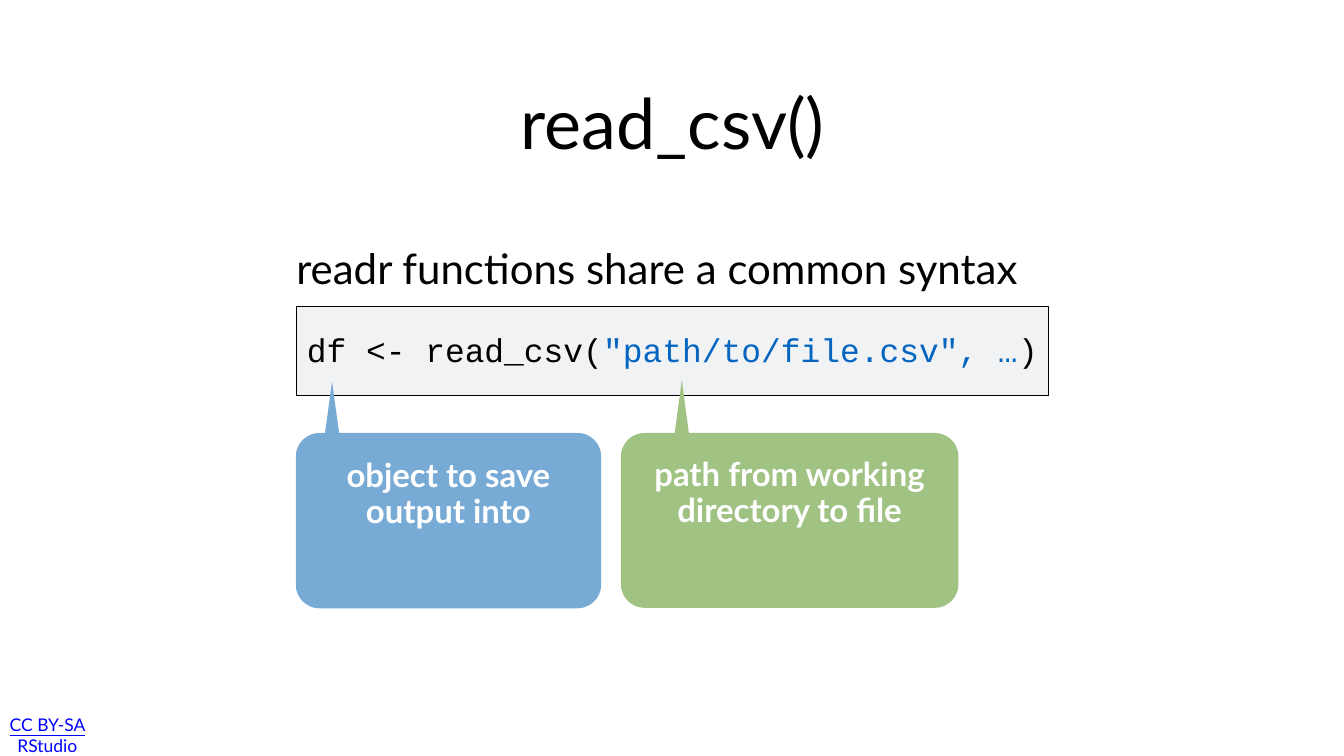
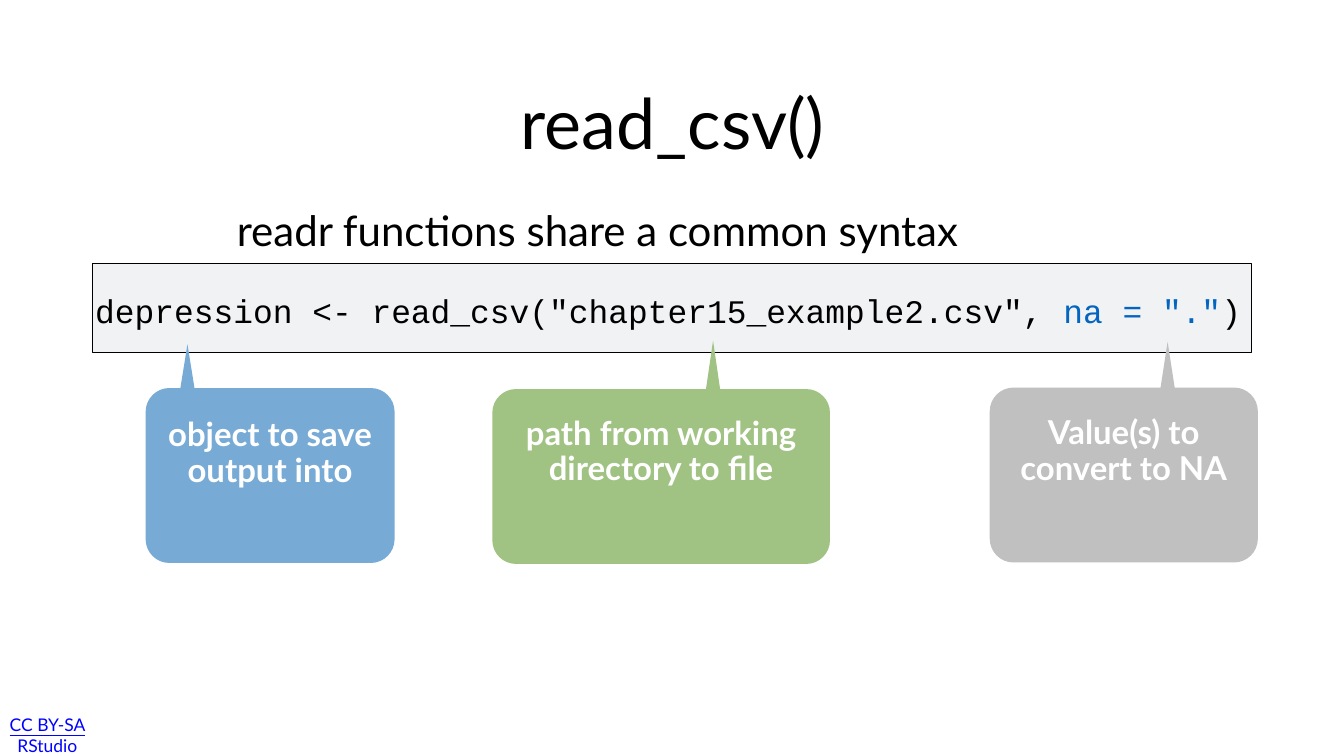
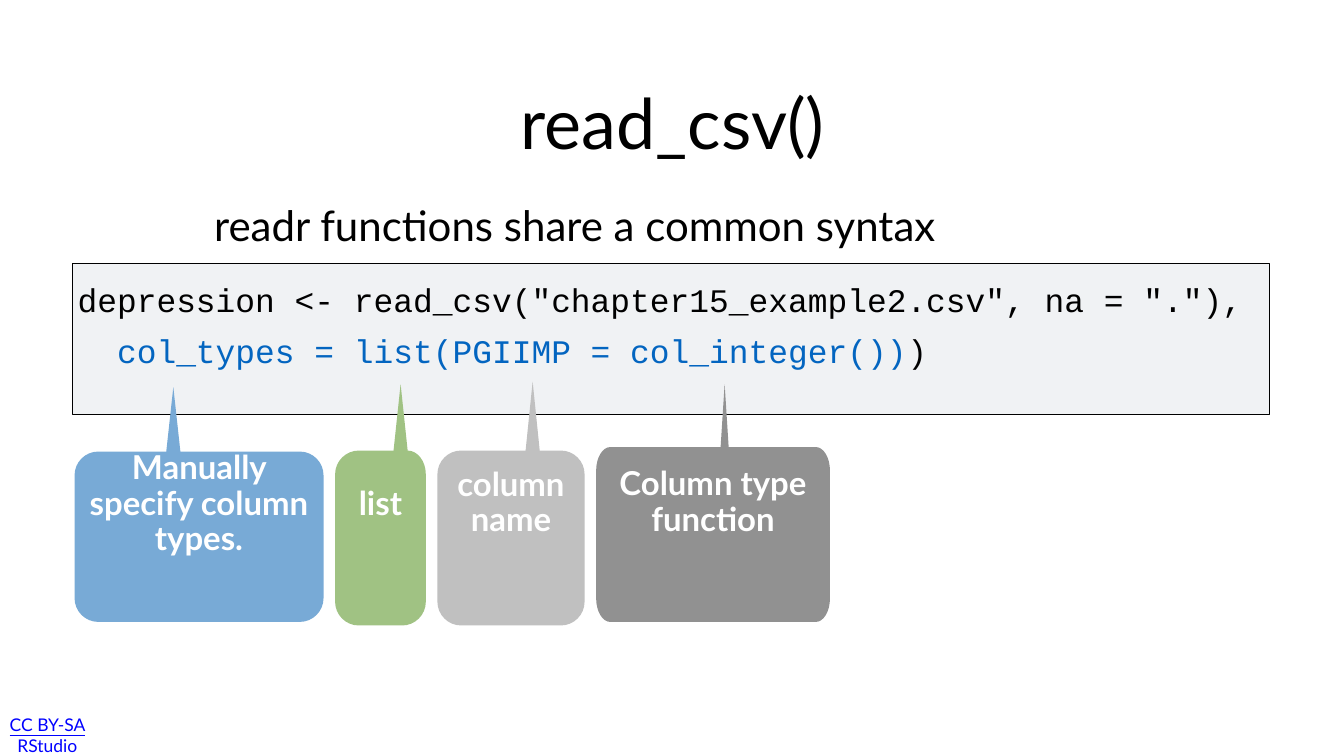
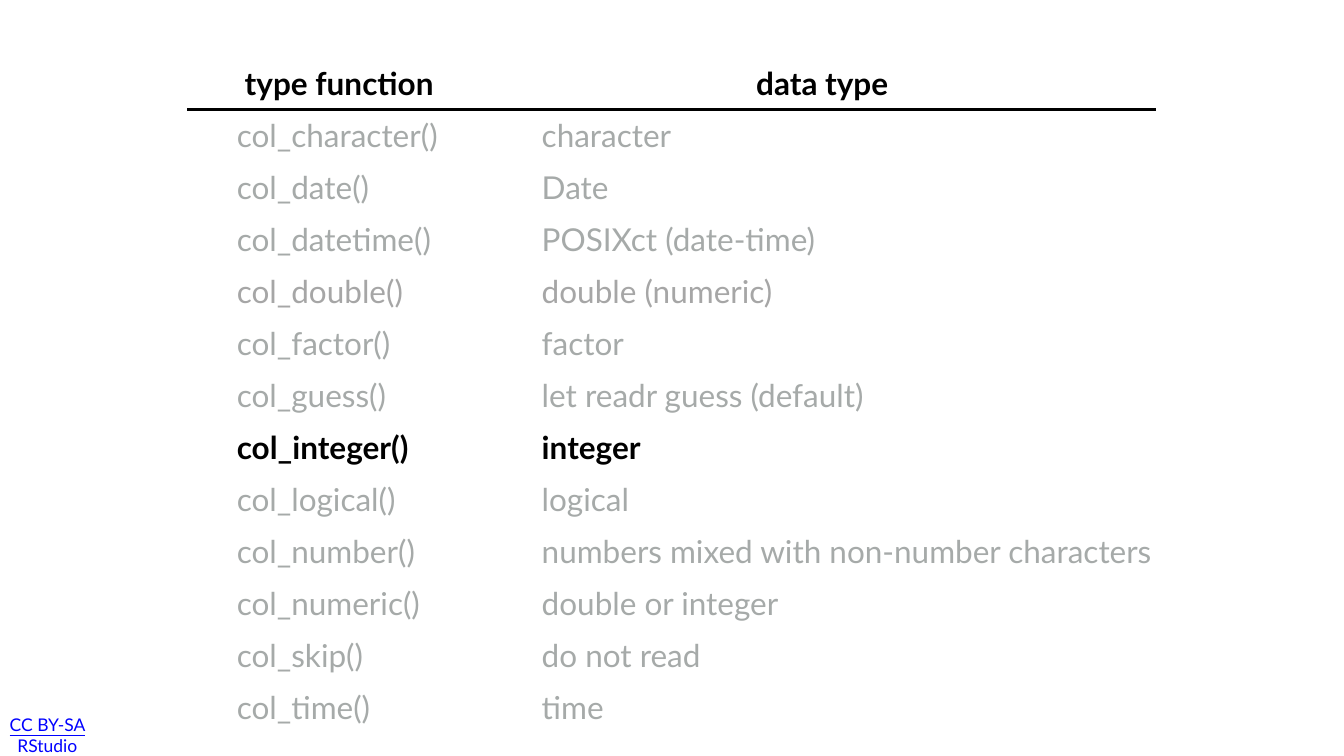
import pptx
import pptx.dml.color
import pptx.enum.shapes
import pptx.enum.text
import pptx.oxml
import pptx.oxml.ns
import pptx.util

Inches = pptx.util.Inches
RGBColor = pptx.dml.color.RGBColor
ALIGN = pptx.enum.text.PP_ALIGN
ANCHOR = pptx.enum.text.MSO_ANCHOR

# Shared look
BLACK = RGBColor(0x00, 0x00, 0x00)
WHITE = RGBColor(0xFF, 0xFF, 0xFF)
LINK_BLUE = RGBColor(0x00, 0x00, 0xFF)
CODE_BLUE = RGBColor(0x03, 0x65, 0xC0)
CODE_FILL = RGBColor(0xF0, 0xF2, 0xF4)
BLUE = RGBColor(0x78, 0xAA, 0xD6)
GREEN = RGBColor(0xA0, 0xC2, 0x83)
SILVER = RGBColor(0xC0, 0xC0, 0xC0)
GRAY = RGBColor(0x91, 0x91, 0x91)
MUTED = RGBColor(0xA6, 0xAA, 0xA9)
MUTED_NEUTRAL = RGBColor(0xA6, 0xA6, 0xA6)
BODY_FONT = "Lato"
CODE_FONT = "Courier New"
CORNER = 0.47
CURVE = 0.55
NAMESPACE = pptx.oxml.ns.nsdecls("a")


def write_text(frame, paragraphs, size, font=BODY_FONT, bold=False, align=ALIGN.LEFT,
               anchor=ANCHOR.MIDDLE, inset=0.06):
    """Fill a frame; each paragraph is a list of (text, colour) runs."""
    frame.word_wrap = True
    frame.vertical_anchor = anchor
    frame.margin_left = frame.margin_right = Inches(inset)
    frame.margin_top = frame.margin_bottom = Inches(inset)
    for index, runs in enumerate(paragraphs):
        paragraph = frame.paragraphs[0] if index == 0 else frame.add_paragraph()
        paragraph.alignment = align
        for text, color in runs:
            run = paragraph.add_run()
            run.text = text
            run.font.name = font
            run.font.size = pptx.util.Pt(size)
            run.font.bold = bold
            run.font.color.rgb = color


def add_callout(slide, lines, color, left, top, right, bottom, tip_x, tip_y,
                half_base=0.14, radius_x=CORNER):
    """Draw a rounded box with a narrow pointer on its top edge."""
    roof_end = max(right - radius_x, tip_x + half_base)
    # Each corner: start of the curve, corner point, end of the curve
    corners = [
        ((left + radius_x, top), (left, top), (left, top + CORNER)),
        ((left, bottom - CORNER), (left, bottom), (left + radius_x, bottom)),
        ((right - radius_x, bottom), (right, bottom), (right, bottom - CORNER)),
        ((right, top + CORNER), (right, top), (roof_end, top)),
    ]
    points = [(tip_x - half_base, top)]
    for start, _, end in corners:
        points += [start, end]
    points += [(tip_x + half_base, top), (tip_x, tip_y)]

    builder = slide.shapes.build_freeform(Inches(tip_x), Inches(tip_y))
    builder.add_line_segments([(Inches(x), Inches(y)) for x, y in points], close=True)
    shape = builder.convert_to_shape()

    # Turn the straight corner cuts into curves
    segments = list(shape._element.iter(pptx.oxml.ns.qn("a:lnTo")))
    for segment, (start, corner, end) in zip(segments[2:9:2], corners):
        controls = [[a + CURVE * (b - a) for a, b in zip(point, corner)]
                    for point in (start, end)]
        marks = "".join(f'<a:pt x="{Inches(x - left)}" y="{Inches(y - tip_y)}"/>'
                        for x, y in [*controls, end])
        curve = pptx.oxml.parse_xml(f"<a:cubicBezTo {NAMESPACE}>{marks}</a:cubicBezTo>")
        segment.getparent().replace(segment, curve)

    shape.shadow.inherit = False
    shape.fill.solid()
    shape.fill.fore_color.rgb = color
    shape.line.fill.background()
    write_text(shape.text_frame, [[(line, WHITE)] for line in lines], 47,
               bold=True, align=ALIGN.CENTER, inset=0.08)
    for paragraph in shape.text_frame.paragraphs:
        paragraph.line_spacing = 0.9


presentation = pptx.Presentation()
presentation.slide_width = Inches(26.67)
presentation.slide_height = Inches(15)

# Four slides with the licence footer
slides = []
for number in range(4):
    slide = presentation.slides.add_slide(presentation.slide_layouts[6])
    footer = slide.shapes.add_textbox(Inches(0.12), Inches(14.26), Inches(2.66), Inches(0.6))
    write_text(footer.text_frame, [[("CC BY-SA RStudio", LINK_BLUE)]], 25,
               align=ALIGN.CENTER, inset=0)
    footer.text_frame.margin_right = Inches(1.02)
    footer.text_frame.margin_top = Inches(0.03)
    footer.text_frame.paragraphs[0].runs[0].font.underline = True
    slides.append(slide)

# Syntax slides: subtitle position, code panel, code box, code and callouts
SAVE_OBJECT = (["object to save output into"], BLUE)
FILE_PATH = (["path from working directory to file"], GREEN)
syntax_slides = [
    {
        "subtitle": (5.82, 4.06),
        "panel": (5.88, 6.07, 14.92, 1.77),
        "code_box": (6.03, 6.48, 14.7, 1.56),
        "code": [[("df <- read_csv(", BLACK), ("\"path/to/file.csv\", …", CODE_BLUE),
                  (")", BLACK)]],
        "callouts": [
            (*SAVE_OBJECT, 5.87, 8.59, 11.93, 12.07, 6.59, 7.57),
            (*FILE_PATH, 12.32, 8.59, 19.02, 12.06, 13.53, 7.54),
        ],
    },
    {
        "subtitle": (4.64, 3.3),
        "panel": (1.83, 5.23, 23, 1.77),
        "code_box": (1.83, 5.71, 23, 1.56),
        "code": [[("depression <- read_csv(\"chapter15_example2.csv\", ", BLACK),
                  ("na = \".\"", CODE_BLUE), (")", BLACK)]],
        "callouts": [
            (*FILE_PATH, 9.77, 7.72, 16.47, 11.19, 14.15, 6.76),
            (*SAVE_OBJECT, 2.89, 7.7, 7.83, 11.17, 3.72, 6.83),
            (["Value(s) to convert to NA"], SILVER, 19.64, 7.69, 24.96, 11.16, 23.17, 6.78),
        ],
    },
    {
        "subtitle": (4.19, 3.2),
        "panel": (1.44, 5.22, 23.74, 3.01),
        "code_box": (1.48, 5.48, 23.74, 2.5),
        "code": [
            [("depression <- read_csv(\"chapter15_example2.csv\", na = \".\"),", BLACK)],
            [("  col_types = list(PGIIMP = col_integer())", CODE_BLUE), (")", BLACK)],
        ],
        "callouts": [
            (["Manually specify column types."], BLUE, 1.48, 8.96, 6.42, 12.34, 3.44, 7.68),
            (["list"], GREEN, 6.65, 8.94, 8.45, 12.41, 7.95, 7.62),
            (["column name"], SILVER, 8.68, 8.94, 11.6, 12.41, 10.57, 7.57),
            (["Column type", "function"], GRAY, 11.83, 8.87, 16.47, 12.34, 14.38, 7.62,
             0.08, 0.28),
        ],
    },
]

for slide, content in zip(slides, syntax_slides):
    # Title and subtitle
    title = slide.shapes.add_textbox(Inches(4.4), Inches(1.1), Inches(17.9), Inches(2.62))
    write_text(title.text_frame, [[("read_csv()", BLACK)]], 100, align=ALIGN.CENTER)
    left, top = content["subtitle"]
    subtitle = slide.shapes.add_textbox(Inches(left), Inches(top), Inches(15.03), Inches(2.5))
    write_text(subtitle.text_frame, [[("readr functions share a common syntax", BLACK)]], 60)

    # Code panel
    panel = slide.shapes.add_shape(pptx.enum.shapes.MSO_SHAPE.RECTANGLE,
                                   *[Inches(value) for value in content["panel"]])
    panel.shadow.inherit = False
    panel.fill.solid()
    panel.fill.fore_color.rgb = CODE_FILL
    panel.line.color.rgb = BLACK
    panel.line.width = pptx.util.Pt(1)
    code = slide.shapes.add_textbox(*[Inches(value) for value in content["code_box"]])
    write_text(code.text_frame, content["code"], 47, font=CODE_FONT, anchor=ANCHOR.TOP)
    for paragraph in code.text_frame.paragraphs[1:]:
        paragraph.space_before = pptx.util.Pt(17)

    for callout in content["callouts"]:
        add_callout(slide, *callout)

# Table of column type functions
rows = [
    ("type function", "data type"),
    ("col_character()", "character"),
    ("col_date()", "Date"),
    ("col_datetime()", "POSIXct (date-time)"),
    ("col_double()", "double (numeric)"),
    ("col_factor()", "factor"),
    ("col_guess()", "let readr guess (default)"),
    ("col_integer()", "integer"),
    ("col_logical()", "logical"),
    ("col_number()", "numbers mixed with non-number characters"),
    ("col_numeric()", "double or integer"),
    ("col_skip()", "do not read"),
    ("col_time()", "time"),
]
row_colors = {"type function": BLACK, "col_integer()": BLACK, "col_double()": MUTED_NEUTRAL}
column_widths = [5.98, 13.19]
first_line_indents = [0.9, 0.97]
table_height = 13.42

table = slides[3].shapes.add_table(len(rows), 2, Inches(3.74), Inches(1.14),
                                   Inches(sum(column_widths)), Inches(table_height)).table
table.first_row = table.horz_banding = False
for column, width in zip(table.columns, column_widths):
    column.width = Inches(width)

for row_index, row in enumerate(rows):
    table.rows[row_index].height = Inches(table_height / len(rows))
    color = row_colors.get(row[0], MUTED)
    is_header = row_index == 0
    for column_index, text in enumerate(row):
        cell = table.cell(row_index, column_index)
        write_text(cell.text_frame, [[(text, color)]], 45, bold=color == BLACK,
                   align=ALIGN.CENTER if is_header else ALIGN.LEFT)
        cell.vertical_anchor = ANCHOR.MIDDLE
        cell.margin_left = cell.margin_right = Inches(0.06)
        cell.margin_top = cell.margin_bottom = Inches(0.06)
        if not is_header:
            properties = cell.text_frame.paragraphs[0]._p.get_or_add_pPr()
            properties.set("marL", "0")
            properties.set("indent", str(Inches(first_line_indents[column_index])))

        # White borders, with a black rule under the header
        cell_properties = cell._tc.get_or_add_tcPr()
        for side in "LRTB":
            on_rule = (row_index, side) in [(0, "B"), (1, "T")]
            cell_properties.append(pptx.oxml.parse_xml(
                f'<a:ln{side} {NAMESPACE} w="{pptx.util.Pt(4)}"><a:solidFill>'
                f'<a:srgbClr val="{BLACK if on_rule else WHITE}"/></a:solidFill></a:ln{side}>'))
        cell.fill.background()

presentation.save("out.pptx")
